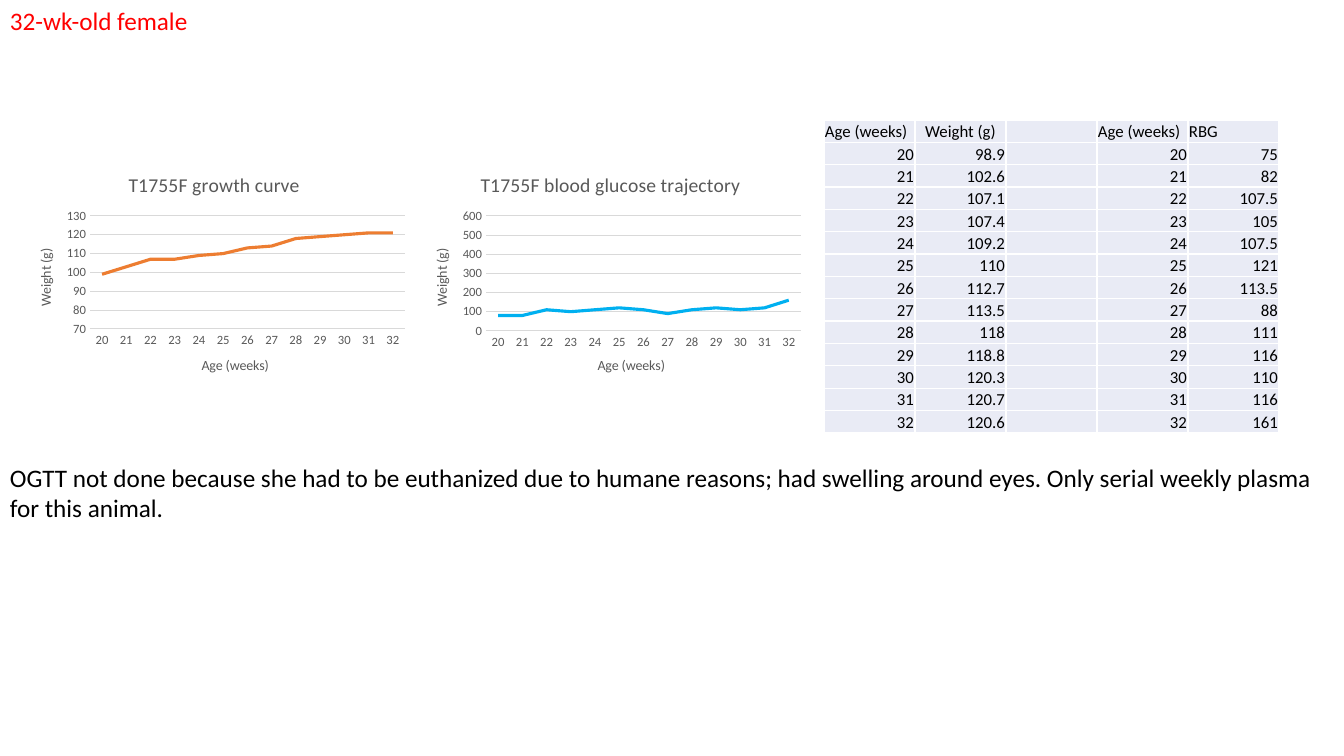
from lxml.etree import SubElement
from pptx import Presentation
from pptx.chart.data import CategoryChartData
from pptx.dml.color import RGBColor
from pptx.enum.chart import XL_CHART_TYPE as ChartType, XL_TICK_MARK as TickMark
from pptx.enum.text import MSO_ANCHOR as Anchor, MSO_AUTO_SIZE as AutoSize, PP_ALIGN as Align
from pptx.oxml import parse_xml
from pptx.oxml.ns import nsdecls, qn
from pptx.util import Pt

PIXEL = 914400 / 100.8
CHART_WIDTH, CHART_HEIGHT = 396, 238


def style_font(font, size, color):
    font.name = "Calibri"
    font.size = Pt(size)
    font.bold = False
    font.color.rgb = RGBColor.from_string(color)


def place(element, index, target="", **box):
    for layout in element.findall(qn("c:layout")):
        element.remove(layout)
    modes = "".join(f'<c:{key}Mode val="edge"/>' for key in "xy")
    sizes = "".join(
        f'<c:{key} val="{value / (CHART_WIDTH if key in "xw" else CHART_HEIGHT):.4f}"/>'
        for key, value in box.items())
    element.insert(index, parse_xml(
        f'<c:layout {nsdecls("c")}><c:manualLayout>{target}{modes}{sizes}'
        '</c:manualLayout></c:layout>'))


ages = [str(age) for age in range(20, 33)]
weights = [98.9, 102.6, 107.1, 107.4, 109.2, 110, 112.7, 113.5, 118, 118.8, 120.3, 120.7, 120.6]
glucose = [75, 82, 107.5, 105, 107.5, 121, 113.5, 88, 111, 116, 110, 116, 161]

presentation = Presentation()
presentation.slide_width = round(1344 * PIXEL)
presentation.slide_height = round(756 * PIXEL)
slide = presentation.slides.add_slide(presentation.slide_layouts[6])

charts = [
    ("T1755F growth curve", weights, 0, "ED7D31", 70, 130, 10, 108, 113),
    ("T1755F blood glucose trajectory", glucose, -1, "00B0F0", 0, 600, 100, 64, 115),
]
for number, (title, values, digits, color, low, high, step, title_left, plot_height) in enumerate(charts):
    data = CategoryChartData()
    data.categories = ages
    data.add_series("Series 1", [round(value, digits) for value in values])
    box = (17 + number * CHART_WIDTH, 158, CHART_WIDTH, CHART_HEIGHT)
    chart = slide.shapes.add_chart(
        ChartType.LINE, *(round(length * PIXEL) for length in box), data).chart
    style_font(chart.font, 10, "595959")
    chart.has_legend = False
    chart.has_title = True
    category_axis, value_axis = chart.category_axis, chart.value_axis
    value_axis.minimum_scale, value_axis.maximum_scale = low, high
    value_axis.major_unit = step
    value_axis.format.line.fill.background()
    category_axis.has_title = value_axis.has_title = True
    for axis in (category_axis, value_axis):
        axis.major_tick_mark = axis.minor_tick_mark = TickMark.NONE
        style_font(axis.tick_labels.font, 9, "595959")
    for line in (category_axis.format.line, value_axis.major_gridlines.format.line):
        line.color.rgb = RGBColor.from_string("D9D9D9")
        line.width = Pt(0.75)

    for heading, text, size, left, top in [
        (chart.chart_title, title, 14, title_left, 10),
        (category_axis.axis_title, "Age (weeks)", 10, 182, 196),
        (value_axis.axis_title, "Weight (g)", 10, 17, 88),
    ]:
        heading.text_frame.text = text
        style_font(heading.text_frame.paragraphs[0].font, size, "595959")
        place(heading._element, 1, x=left, y=top)
    rotation = value_axis.axis_title.text_frame._txBody.bodyPr
    rotation.set("rot", "-5400000")
    rotation.set("vert", "horz")

    plot = chart.plots[0]
    plot.vary_by_categories = False
    series = plot.series[0]
    series.smooth = False
    series.format.line.color.rgb = RGBColor.from_string(color)
    series.format.line.width = Pt(2.25)
    place(chart._chartSpace.chart.plotArea, 0, '<c:layoutTarget val="inner"/>',
          x=73, y=58, w=315, h=plot_height)

rows = [("Age (weeks)", "Weight (g)", "", "Age (weeks)", "RBG")]
rows += [(age, weight, "", age, level) for age, weight, level in zip(ages, weights, glucose)]
table_box = (824, 120, 455, 313)
table = slide.shapes.add_table(
    len(rows), 5, *(round(length * PIXEL) for length in table_box)).table
table.first_row = table.horz_banding = False
for row_number, row in enumerate(rows):
    for column_number, value in enumerate(row):
        cell = table.cell(row_number, column_number)
        cell.margin_left = cell.margin_right = cell.margin_top = round(PIXEL)
        cell.margin_bottom = 0
        cell.vertical_anchor = Anchor.BOTTOM
        cell.text = str(value)
        paragraph = cell.text_frame.paragraphs[0]
        paragraph.alignment = Align.RIGHT if row_number else Align.LEFT
        style_font(paragraph.font, 12, "000000")
        if value == "":
            SubElement(paragraph._p, qn("a:endParaRPr"), sz="1200")
        cell.fill.solid()
        cell.fill.fore_color.rgb = RGBColor.from_string("E9EBF5")
weight_header = table.cell(0, 1)
weight_header.vertical_anchor = Anchor.MIDDLE
weight_header.text_frame.paragraphs[0].alignment = Align.CENTER

notes = [
    ("32-wk-old female", "FF0000", False, (0, 0, 200, 40)),
    ("OGTT not done because she had to be euthanized due to humane reasons; "
     "had swelling around eyes. Only serial weekly plasma for this animal.",
     "000000", True, (0, 457, 1344, 71)),
]
for text, color, wraps, box in notes:
    frame = slide.shapes.add_textbox(*(round(length * PIXEL) for length in box)).text_frame
    frame.word_wrap = wraps
    frame.auto_size = AutoSize.SHAPE_TO_FIT_TEXT
    frame.text = text
    style_font(frame.paragraphs[0].font, 18, color)

presentation.save("out.pptx")
